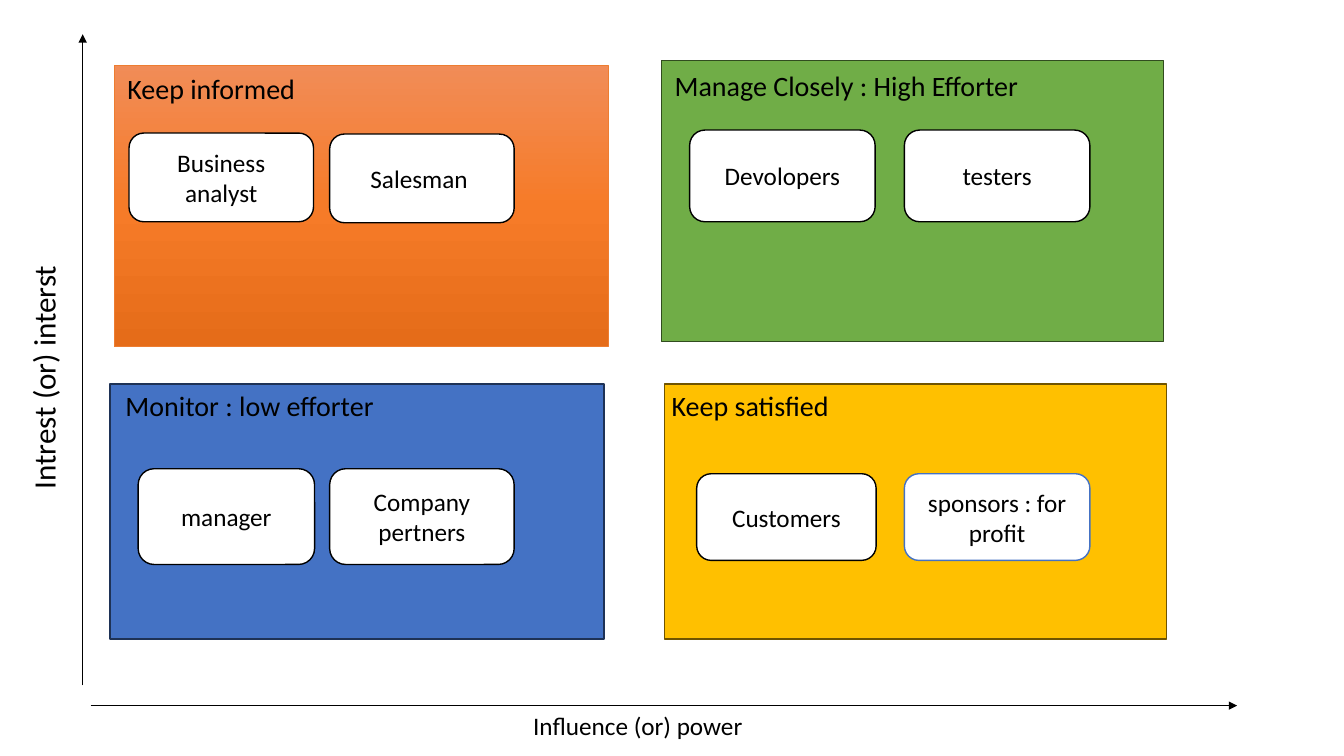
from copy import deepcopy

from lxml.etree import SubElement
from pptx import Presentation
from pptx.dml.color import RGBColor
from pptx.enum.shapes import MSO_CONNECTOR, MSO_SHAPE
from pptx.enum.text import MSO_ANCHOR, MSO_AUTO_SIZE, PP_ALIGN
from pptx.oxml.ns import qn
from pptx.util import Inches, Pt


def rgb(value):
    return RGBColor.from_string(value)


class MatrixSlide:
    FONT = "Calibri"
    INK = "000000"
    PAPER = "FFFFFF"

    def __init__(self, prs):
        self.s = prs.slides.add_slide(prs.slide_layouts[0])
        title = self.s.shapes.title
        title.element.getparent().remove(title.element)

    def set_text(self, sp, text, size, align=PP_ALIGN.CENTER):
        sp.text_frame.text = text
        p = sp.text_frame.paragraphs[0]
        p.alignment = align
        p.font.name = self.FONT
        p.font.size = Pt(size)
        p.font.color.rgb = rgb(self.INK)
        return p

    def axis(self, x1, y1, x2, y2):
        axis = self.s.shapes.add_connector(
            MSO_CONNECTOR.STRAIGHT, *map(Inches, (x1, y1, x2, y2)))
        axis.line.color.rgb = rgb(self.INK)
        axis.line.width = Pt(0.5)
        spPr = axis.element.spPr
        SubElement(spPr.find(qn("a:ln")), qn("a:tailEnd"), type="triangle")
        SubElement(spPr, qn("a:effectLst"))

    def axis_title(self, text, x, y, w, h):
        sp = self.s.placeholders[1]
        sp.left, sp.top, sp.width, sp.height = map(Inches, (x, y, w, h))
        sp.rotation = 270
        p = self.set_text(sp, text, 22.2)
        p.line_spacing = 0.8
        p.space_before = Pt(10)
        sp.text_frame.auto_size = MSO_AUTO_SIZE.NONE

    def shape(self, kind, x, y, w, h, fill, line, weight=1):
        sp = self.s.shapes.add_shape(kind, *map(Inches, (x, y, w, h)))
        sp.shadow.inherit = False
        if isinstance(fill, str):
            sp.fill.solid()
            sp.fill.fore_color.rgb = rgb(fill)
        else:
            self.gradient(sp, fill)
        sp.line.color.rgb = rgb(line)
        sp.line.width = Pt(weight)
        return sp

    def gradient(self, sp, colors):
        sp.fill.gradient()
        sp.fill.gradient_angle = 270
        stops = sp.element.spPr.find(qn("a:gradFill")).find(qn("a:gsLst"))
        while len(stops) < len(colors):
            stops.append(deepcopy(stops[0]))
        for i, (stop, color) in enumerate(zip(sp.fill.gradient_stops, colors)):
            stop.position = i / (len(colors) - 1)
            stop.color.rgb = rgb(color)

    def panel(self, x, y, w, h, fill, line, weight):
        self.shape(MSO_SHAPE.RECTANGLE, x, y, w, h, fill, line, weight)

    def label(self, text, x, y, w, h=0.44, size=20, align=PP_ALIGN.CENTER, wrap=True):
        sp = self.s.shapes.add_textbox(*map(Inches, (x, y, w, h)))
        sp.text_frame.word_wrap = wrap
        sp.text_frame.auto_size = MSO_AUTO_SIZE.SHAPE_TO_FIT_TEXT
        self.set_text(sp, text, size, align)

    def card(self, text, x, y, w, h, line=INK):
        sp = self.shape(MSO_SHAPE.ROUNDED_RECTANGLE, x, y, w, h, self.PAPER, line)
        sp.text_frame.word_wrap = True
        sp.text_frame.vertical_anchor = MSO_ANCHOR.MIDDLE
        self.set_text(sp, text, 18)


def main():
    prs = Presentation()
    prs.slide_width, prs.slide_height = Inches(13.33), Inches(7.5)
    matrix = MatrixSlide(prs)

    # Axes and their titles
    matrix.axis(0.82, 6.8, 0.82, 0.34)
    matrix.axis(0.9, 7, 12.27, 7)
    matrix.axis_title("Intrest (or) interst", -3.06, 3.54, 7.06, 0.41)
    matrix.label("Influence (or) power", 5.19, 7, 6.67, 0.4, 18, PP_ALIGN.LEFT)

    # Quadrants
    for panel in (
        (1.13, 0.65, 4.9, 2.79, ("F18C57", "F67B28", "E56C19"), "ED7D31", 0.5),
        (6.56, 0.6, 4.98, 2.79, "70AD47", "314C1F", 1),
        (1.09, 3.81, 4.9, 2.53, "4472C4", "1E3256", 1),
        (6.59, 3.81, 4.98, 2.53, "FFC000", "705400", 1),
    ):
        matrix.panel(*panel)

    # Quadrant headings
    matrix.label("Keep informed", -0.34, 0.66, 4.87)
    matrix.label("Manage Closely : High Efforter", 6.31, 0.63, 4.17)
    matrix.label("Monitor : low efforter", 1.13, 3.81, 2.69, wrap=False)
    matrix.label("Keep satisfied", 6.55, 3.81, 1.78, wrap=False)

    # Stakeholders
    for card in (
        ("Business analyst", 1.28, 1.32, 1.83, 0.88),
        ("Salesman ", 3.27, 1.33, 1.83, 0.88),
        ("Devolopers", 6.84, 1.29, 1.84, 0.91),
        ("testers", 8.97, 1.29, 1.84, 0.91),
        ("manager", 1.37, 4.65, 1.75, 0.95),
        ("Company pertners", 3.27, 4.65, 1.83, 0.95),
        ("Customers", 6.91, 4.7, 1.78, 0.86),
        ("sponsors : for profit", 8.97, 4.7, 1.84, 0.86, "4472C4"),
    ):
        matrix.card(*card)

    prs.save("out.pptx")


if __name__ == "__main__":
    main()
